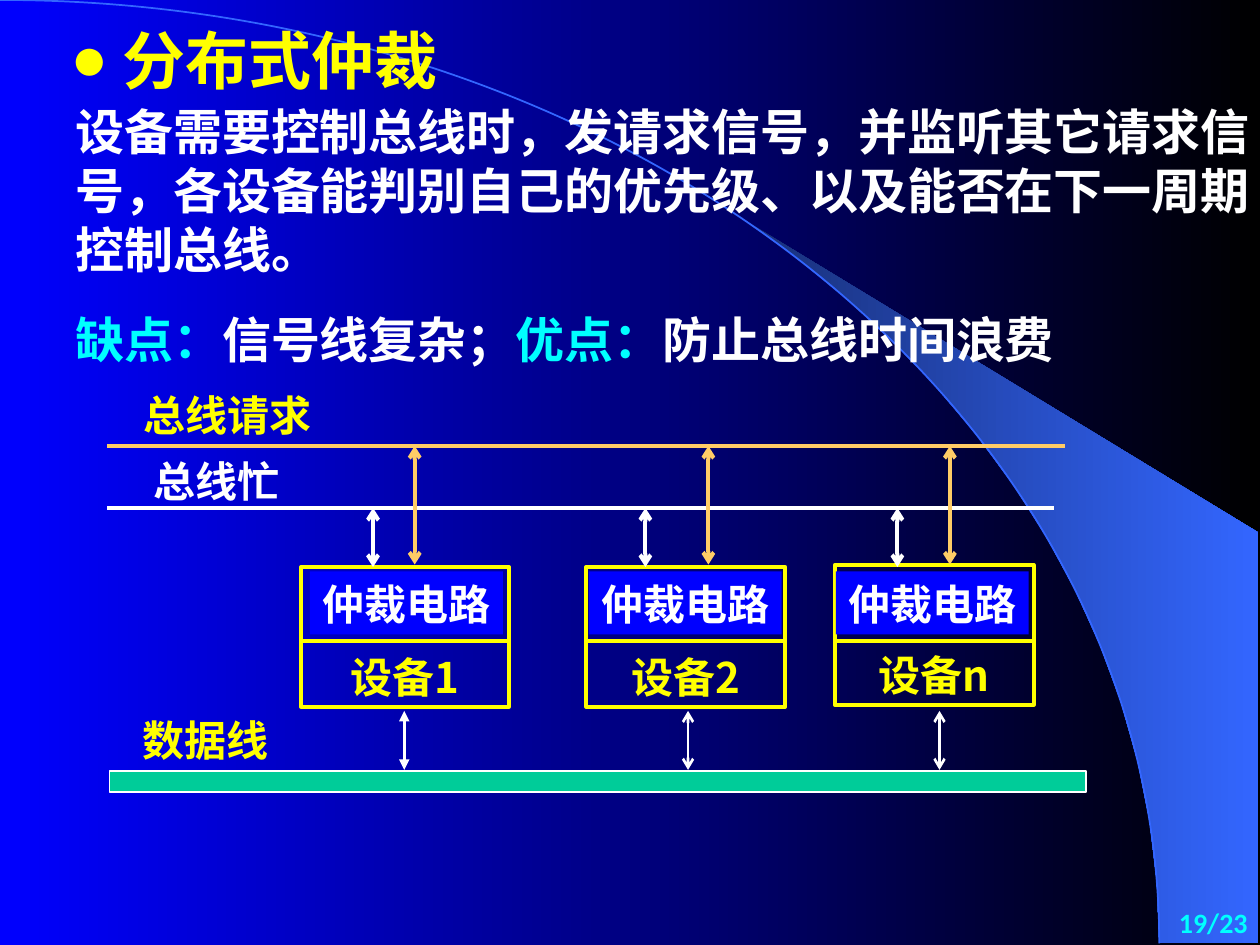
import pptx
import pptx.util
import pptx.dml.color
import pptx.enum.shapes
import pptx.enum.text
import pptx.oxml.ns
import lxml.etree

Cm = pptx.util.Cm
Pt = pptx.util.Pt
Align = pptx.enum.text.PP_ALIGN
Anchor = pptx.enum.text.MSO_ANCHOR
RECT = pptx.enum.shapes.MSO_SHAPE.RECTANGLE
SANS = "Noto Sans CJK SC"
YELLOW, WHITE, CYAN, ORANGE, BLUE = "FFFF00", "FFFFFF", "00FFFF", "FFCC66", "0000FF"


def tint(code):
    return pptx.dml.color.RGBColor.from_string(code)


def add_tag(host, name, **attrs):
    return lxml.etree.SubElement(host, pptx.oxml.ns.qn(name), attrs)


def shade(fill, *codes):
    fill.gradient()
    fill.gradient_angle = 0
    for stop, place, code in zip(fill.gradient_stops, (0, 1), codes):
        stop.position = place
        stop.color.rgb = tint(code)


def write(shape, text, size=24, color=WHITE, font=SANS, align=Align.CENTER,
          anchor=Anchor.TOP, wrap=False, right=0.25, low=0.13, gap=0, bullet=None):
    frame = shape.text_frame
    frame.word_wrap = wrap
    frame.vertical_anchor = anchor
    frame.margin_left, frame.margin_right = Cm(0.25), Cm(right)
    frame.margin_top, frame.margin_bottom = Cm(0.13), Cm(low)
    rows = [[(text, color)]] if isinstance(text, str) else text
    for index, row in enumerate(rows):
        para = frame.add_paragraph() if index else frame.paragraphs[0]
        para.alignment = align
        para.line_spacing = Pt(round(size * 1.21, 1))
        if index:
            para.space_before = Pt(gap)
        if bullet:
            props = para._p.get_or_add_pPr()
            props.set("marL", str(Cm(1.06)))
            props.set("indent", str(-Cm(1.06)))
            add_tag(add_tag(props, "a:buClr"), "a:srgbClr", val=color)
            add_tag(props, "a:buFont", typeface="Times New Roman")
            add_tag(props, "a:buChar", char=bullet)
        for words, code in row:
            run = para.add_run()
            run.text = words
            run.font.size = Pt(size)
            run.font.bold = True
            run.font.color.rgb = tint(code)
            run.font.name = font
            add_tag(run._r.get_or_add_rPr(), "a:ea", typeface=SANS)


def label(slide, box, text, **style):
    write(slide.shapes.add_textbox(*map(Cm, box)), text, **style)


def block(slide, box, fill=None, line=None, width=2.25):
    shape = slide.shapes.add_shape(RECT, *map(Cm, box))
    shape.shadow.inherit = False
    if fill:
        shape.fill.solid()
        shape.fill.fore_color.rgb = tint(fill)
    else:
        shape.fill.background()
    if line:
        shape.line.color.rgb = tint(line)
        shape.line.width = Pt(width)
    else:
        shape.line.fill.background()
    return shape


def link(slide, start, end, color, width=2.25, head=None):
    line = slide.shapes.add_connector(
        pptx.enum.shapes.MSO_CONNECTOR.STRAIGHT, *map(Cm, start + end))
    line.line.color.rgb = tint(color)
    line.line.width = Pt(width)
    if head:
        for name in ("a:headEnd", "a:tailEnd"):
            add_tag(line.line._get_or_add_ln(), name, type=head)
    add_tag(line._element.spPr, "a:effectLst")


def outline(slide, points, close):
    (left, top), *rest = [(Cm(x), Cm(y)) for x, y in points]
    pen = slide.shapes.build_freeform(left, top)
    pen.add_line_segments(rest, close=close)
    shape = pen.convert_to_shape()
    shape.shadow.inherit = False
    return shape


def bend(shape):
    lines = list(shape._element.iter(pptx.oxml.ns.qn("a:lnTo")))
    curve = add_tag(lines[0].getparent(), "a:cubicBezTo")
    for line in lines:
        curve.append(line[0])
        line.getparent().remove(line)


def arc(knots, first, gap):
    for step in range(first, 101, gap):
        t = step / 100
        parts = (1 - t) ** 3, 3 * t * (1 - t) ** 2, 3 * t * t * (1 - t), t ** 3
        yield tuple(sum(p * k for p, k in zip(parts, axis)) for axis in zip(*knots))


def backdrop(slide, wide, high):
    shade(slide.background.fill, BLUE, "000000")
    edge = wide - 2.03
    knots = [(0, 0), (12.9, 0), (edge, 8.51), (edge, high)]
    wedge = outline(slide, [*arc(knots, 44, 4), (wide - 0.03, high),
                            (wide - 0.03, 10.74)], True)
    shade(wedge.fill, "182F76", "3366FF")
    wedge.line.fill.background()
    curve = outline(slide, knots, False)
    bend(curve)
    curve.fill.background()
    curve.line.color.rgb = tint("3366FF")
    curve.line.width = Pt(1)


def intro(slide, left, top):
    label(slide, (left - 0.1, top, 9.73, 1.96), "分布式仲裁", size=36, color=YELLOW,
          align=Align.LEFT, anchor=Anchor.MIDDLE, wrap=True, bullet="●")
    body = [
        [("设备需要控制总线时，发请求信号，并监听其它请求信号，"
          "各设备能判别自己的优先级、以及能否在下一周期控制总线。", WHITE)],
        [("缺点：", CYAN), ("信号线复杂；", WHITE),
         ("优点：", CYAN), ("防止总线时间浪费", WHITE)],
    ]
    label(slide, (left, top + 1.7, 24.2, 5.61), body, size=28,
          align=Align.LEFT, wrap=True, right=0, gap=17.5)


def device(slide, box, name, inner, ask, busy, data, head):
    left, top, wide, high = box
    write(block(slide, box, line=YELLOW), name, color=YELLOW,
          anchor=Anchor.BOTTOM, wrap=True, low=0.1)
    chip = block(slide, (left + inner, 11.52, 3.89, 1.27), fill=BLUE)
    write(chip, "仲裁电路", font="Times New Roman")
    link(slide, (left, 12.93), (left + wide, 12.93), YELLOW)
    link(slide, (left + ask, 8.99), (left + ask, 11.38), ORANGE, head="arrow")
    link(slide, (left + busy, 10.24), (left + busy, 11.43), WHITE, head="arrow")
    link(slide, (left + data, 14.33), (left + data, 15.52), WHITE, 1.5, head)


def diagram(slide, left, top):
    link(slide, (left, top), (left + 19.3, top), ORANGE)
    link(slide, (left, top + 1.25), (left + 19.08, top + 1.25), WHITE)
    label(slide, (left + 0.48, top - 1.27, 3.89, 1.27), "总线请求", color=YELLOW)
    label(slide, (left + 0.68, top + 0.05, 3.05, 1.27), "总线忙")
    devices = [
        ((6.07, 11.43, 4.19, 2.82), "设备1", 0.18, 2.29, 1.45, 2.08, "triangle"),
        ((11.82, 11.43, 4.01, 2.82), "设备2", 0.05, 2.46, 1.19, 2.05, "arrow"),
        ((16.83, 11.39, 4.01, 2.82), "设备n", 0.02, 2.32, 1.26, 2.11, "arrow"),
    ]
    for item in devices:
        device(slide, *item)
    block(slide, (left + 0.05, top + 6.55, 19.69, 0.43), "00CC99", WHITE, 1)
    label(slide, (left + 0.26, top + 5.27, 3.43, 1.27), "数据线", color=YELLOW)


def main():
    deck = pptx.Presentation()
    deck.slide_width, deck.slide_height = Cm(25.4), Cm(19.05)
    slide = deck.slides.add_slide(deck.slide_layouts[6])
    backdrop(slide, 25.4, 19.02)
    intro(slide, 1.27, 0.2)
    diagram(slide, 2.16, 8.99)
    label(slide, (20.12, 18.14, 5.28, 0.91), "19/23", size=16, color=CYAN,
          font="Calibri", align=Align.RIGHT, anchor=Anchor.MIDDLE, wrap=True)
    deck.save("out.pptx")


if __name__ == "__main__":
    main()
